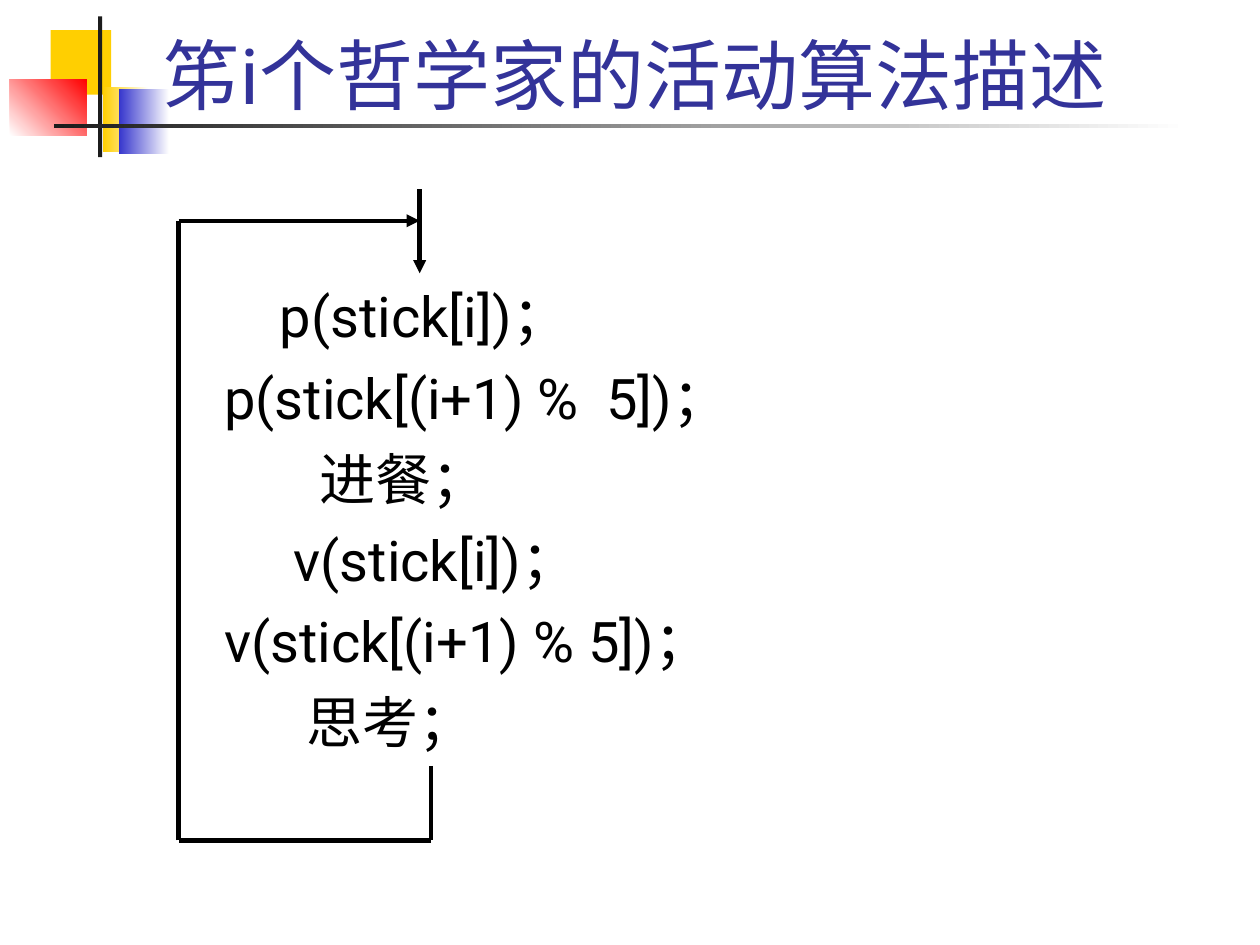
import pptx
import pptx.dml.color
import pptx.enum.shapes
import pptx.enum.text
import pptx.oxml.ns
import pptx.util
from lxml import etree
from pptx.util import Cm

FONT = "Roboto"
STEPS = [
    "        p(stick[i])；",
    "    p(stick[(i+1) %  5])；",
    "            进餐；",
    "         v(stick[i])；",
    "    v(stick[(i+1) % 5])；",
    "           思考；",
]


def rgb(value):
    """Return the colour for a hex string."""
    return pptx.dml.color.RGBColor.from_string(value)


def add_block(s, left, top, width, height, colors, angle=0):
    """Add a borderless rectangle with a solid or two-colour gradient fill."""
    sp = s.shapes.add_shape(
        pptx.enum.shapes.MSO_SHAPE.RECTANGLE, Cm(left), Cm(top), Cm(width), Cm(height)
    )
    sp.shadow.inherit = False
    sp.line.fill.background()
    if len(colors) == 1:
        sp.fill.solid()
        sp.fill.fore_color.rgb = rgb(colors[0])
    else:
        sp.fill.gradient()
        sp.fill.gradient_angle = angle
        for stop, color in zip(sp.fill.gradient_stops, colors):
            stop.color.rgb = rgb(color)


def add_text(s, box, lines, size, color, anchor, gap=0):
    """Add a text box with one paragraph for each line."""
    sp = s.shapes.add_textbox(*(Cm(v) for v in box))
    tf = sp.text_frame
    tf.word_wrap = True
    tf.vertical_anchor = anchor
    tf.text = "\n".join(lines)
    for i, p in enumerate(tf.paragraphs):
        p.space_before = pptx.util.Pt(gap if i else 0)
        for r in p.runs:
            r.font.name = FONT
            r.font.size = pptx.util.Pt(size)
            r.font.color.rgb = rgb(color)


def add_line(s, start, end, arrow=False):
    """Add a straight black line, with an arrowhead at its end if asked."""
    c = s.shapes.add_connector(
        pptx.enum.shapes.MSO_CONNECTOR.STRAIGHT, *(Cm(v) for v in start + end)
    )
    c.line.color.rgb = rgb("000000")
    c.line.width = pptx.util.Pt(2.5)
    if arrow:
        ln = c.line._get_or_add_ln()
        etree.SubElement(ln, pptx.oxml.ns.qn("a:tailEnd"), type="triangle")
    etree.SubElement(c._element.spPr, pptx.oxml.ns.qn("a:effectLst"))


def add_ornament(s, left, top, width):
    """Place the coloured blocks and the two crossing bars."""
    add_block(s, left + 0.82, top + 0.28, 1.22, 1.3, ["FFCF01"])
    add_block(s, left + 1.88, top + 1.42, 0.91, 1.32, ["FFCF01", "FFFFFF"])
    add_block(s, left + 2.19, top + 1.47, 1.02, 1.3, ["3333CC", "FFFFFF"])
    add_block(s, left, top + 1.27, 1.55, 1.14, ["FFFFFF", "FF0000"], 45)
    add_block(s, left + 1.78, top, 0.08, 2.84, ["1C1C1C"])
    add_block(s, left + 0.89, top + 2.18, width - 0.89, 0.08, ["1C1C1C", "FFFFFF"])


def add_title(s, box):
    """Place the slide title at the bottom of its box."""
    anchor = pptx.enum.text.MSO_ANCHOR.BOTTOM
    add_text(s, box, ["笫i个哲学家的活动算法描述"], 44, "333399", anchor)


def add_loop(s, left, top, width, height):
    """Place the steps and the line that returns from the last to the first."""
    anchor = pptx.enum.text.MSO_ANCHOR.TOP
    add_text(s, (left - 0.45, top + 1.75, 21.59, 9.7), STEPS, 32, "000000", anchor, 8)
    entry, right = left + 4.86, left + width
    back, bottom = top + 0.64, top + height
    add_line(s, (entry, top), (entry, top + 1.7), arrow=True)
    add_line(s, (right, bottom - 1.5), (right, bottom))
    add_line(s, (right, bottom), (left, bottom))
    add_line(s, (left, bottom), (left, back))
    add_line(s, (left, back), (entry, back), arrow=True)


def main():
    """Build the slide and save it."""
    prs = pptx.Presentation()
    prs.slide_width, prs.slide_height = Cm(25.4), Cm(19.05)
    s = prs.slides.add_slide(prs.slide_layouts[6])
    add_ornament(s, 0.2, 0.33, 23.75)
    add_title(s, (3.05, 0.43, 21.64, 2.11))
    add_loop(s, 3.6, 3.81, 5.09, 13.13)
    prs.save("out.pptx")


if __name__ == "__main__":
    main()
